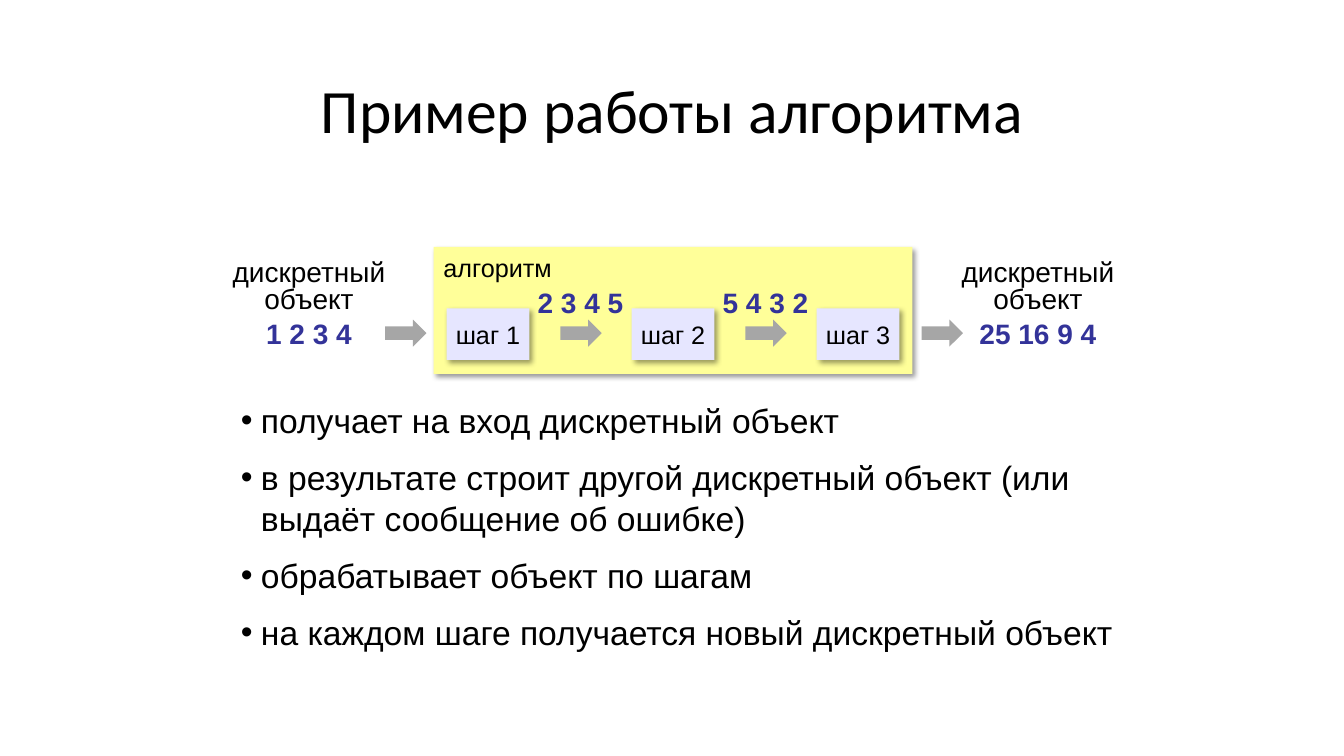
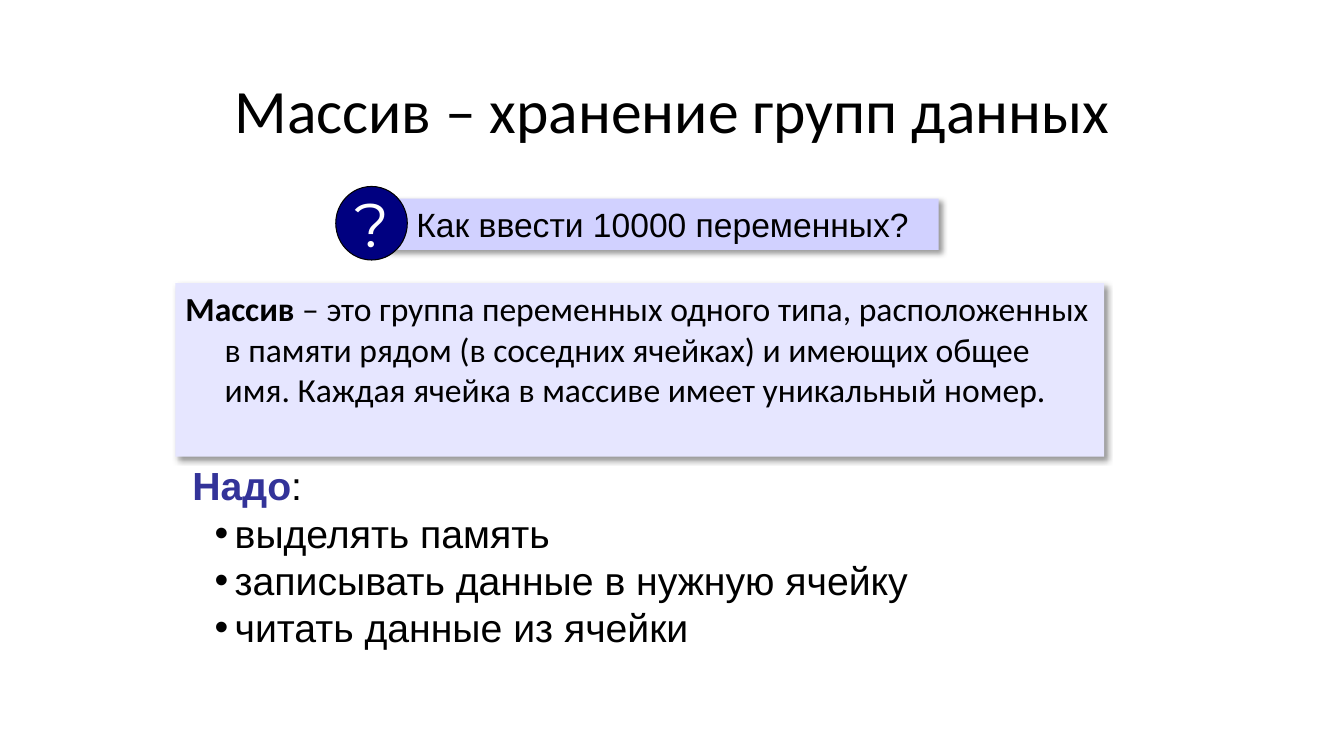
from dataclasses import dataclass

from lxml.etree import SubElement
from pptx import Presentation
from pptx.dml.color import RGBColor as Rgb
from pptx.enum.shapes import MSO_SHAPE as Form
from pptx.enum.text import MSO_ANCHOR as Anchor, PP_ALIGN as Align
from pptx.oxml.ns import qn
from pptx.util import Inches, Pt


@dataclass(frozen=True)
class Theme:
    """Colours, fonts and type sizes shared by the slides."""
    ink: str = "000000"
    white: str = "FFFFFF"
    accent: str = "333399"
    arrow: str = "A6A6A6"
    yellow: str = "FFFF99"
    lilac: str = "E6E6FF"
    banner: str = "D1D1FF"
    navy: str = "000080"
    sans: str = "Arial"
    head: str = "Calibri"
    sign: str = "Montserrat"
    small: int = 18
    label: int = 20
    body: int = 24
    large: int = 28
    title: int = 44


T = Theme()


@dataclass
class Para:
    """A paragraph: runs of (text, colour, bold) and its layout."""
    runs: list
    align: Align = Align.LEFT
    line: float = 1.0
    before: int = 0
    after: int = 0
    hang: float = 0
    mark: str = ""


def plain(text, color=T.ink, bold=False, **opts):
    """Return a paragraph holding one run."""
    return Para([(text, color, bold)], **opts)


def write(shape, paras, size, font=T.sans, anchor=Anchor.TOP, side=0.1, wrap=True):
    """Write paragraphs into a shape, run by run."""
    frame = shape.text_frame
    frame.word_wrap = wrap
    frame.vertical_anchor = anchor
    frame.margin_left, frame.margin_right = Inches(side), Inches(0 if side == 0 else 0.1)
    frame.margin_top = frame.margin_bottom = Inches(0.05)
    for i, item in enumerate(paras):
        par = frame.add_paragraph() if i else frame.paragraphs[0]
        if item.hang:
            prop = par._p.get_or_add_pPr()
            prop.set("marL", str(Inches(item.hang)))
            prop.set("indent", str(-Inches(item.hang)))
            if item.mark:
                SubElement(prop, qn("a:buFont"), typeface=T.sans)
                SubElement(prop, qn("a:buChar"), char=item.mark)
        par.alignment = item.align
        par.line_spacing = item.line
        par.space_before, par.space_after = Pt(item.before), Pt(item.after)
        for text, color, bold in item.runs:
            run = par.add_run()
            run.text = text
            run.font.name, run.font.size = font, Pt(size)
            run.font.bold = bold
            run.font.color.rgb = Rgb.from_string(color)


def place(box):
    """Turn a box in inches into lengths."""
    return [Inches(v) for v in box]


def label(shapes, box, paras, size, **opts):
    """Add a text box."""
    write(shapes.add_textbox(*place(box)), paras, size, **opts)


def block(shapes, form, box, fill, shade=False, line=None):
    """Add a filled shape, with a soft shadow if asked."""
    shape = shapes.add_shape(form, *place(box))
    shape.fill.solid()
    shape.fill.fore_color.rgb = Rgb.from_string(fill)
    if line:
        shape.line.color.rgb = Rgb.from_string(line)
        shape.line.width = Pt(0.75)
    else:
        shape.line.fill.background()
    shape.shadow.inherit = False
    if shade:
        effects = shape._element.spPr.find(qn("a:effectLst"))
        cast = SubElement(effects, qn("a:outerShdw"), blurRad=str(Pt(4)),
                          dist=str(Pt(3)), dir="2700000", algn="tl", rotWithShape="0")
        tint = SubElement(cast, qn("a:srgbClr"), val=T.ink)
        SubElement(tint, qn("a:alpha"), val="40000")
    return shape


def arrow(shapes, x, y):
    """Add a grey block arrow."""
    block(shapes, Form.RIGHT_ARROW, (x, y, 0.41, 0.27), T.arrow)


def start(deck, text):
    """Add a titled slide and return its shapes."""
    shapes = deck.slides.add_slide(deck.slide_layouts[5]).shapes
    title = shapes.title
    title.left, title.top, title.width, title.height = place((0.92, 0.4, 11.5, 1.45))
    write(title, [plain(text, align=Align.CENTER, line=0.9)], T.title,
          font=T.head, anchor=Anchor.MIDDLE)
    return shapes


def bullets(shapes, box, items, size, **opts):
    """Add a bulleted list."""
    label(shapes, box, [plain(t, hang=0.2, mark="•", **opts) for t in items], size)


def datum(shapes, box, value):
    """Add the caption of a discrete object with its value."""
    look = dict(align=Align.CENTER, line=0.8)
    label(shapes, box, [plain("дискретный", **look), plain("объект", **look),
                        plain(value, T.accent, True, before=6, **look)], T.label)


def steps(shapes, box, names, values):
    """Add the algorithm panel: steps with arrows and values between."""
    x, y, w, h = box
    panel = block(shapes, Form.RECTANGLE, box, T.yellow, True)
    write(panel, [plain("алгоритм")], T.small)
    pad, wide = 0.13, 0.82
    gap = (w - 2 * pad - len(names) * wide) / (len(names) - 1)
    for i, name in enumerate(names):
        left = x + pad + i * (wide + gap)
        step = block(shapes, Form.RECTANGLE, (left, y + 0.61, wide, 0.51), T.lilac, True)
        write(step, [plain(name, align=Align.CENTER)], T.small,
              anchor=Anchor.MIDDLE, side=0)
        if i < len(values):
            mid = left + wide + gap / 2
            arrow(shapes, mid - 0.2, y + 0.72)
            label(shapes, (mid - 0.53, y + 0.4, 1.06, 0.37),
                  [plain(values[i], T.accent, True, align=Align.CENTER, line=0.8)],
                  T.label, wrap=False)


def flow(shapes, box):
    """Add the path from input through the algorithm to output."""
    x, y, w, h = box
    datum(shapes, (x, y + 0.09, 2.03, 0.99), "1 2 3 4")
    arrow(shapes, x + 1.77, y + 0.72)
    steps(shapes, (x + 2.25, y, 4.75, h), ["шаг 1", "шаг 2", "шаг 3"],
          ["2 3 4 5", "5 4 3 2"])
    arrow(shapes, x + 7.09, y + 0.72)
    datum(shapes, (x + w - 2.03, y + 0.09, 2.03, 0.99), "25 16 9 4")


def query(shapes, box, text):
    """Add a question banner with a round sign."""
    x, y, w, h = box
    group = shapes.add_group_shape().shapes
    strip = block(group, Form.RECTANGLE, (x + 0.51, y + 0.12, w - 0.51, 0.51),
                  T.banner, True)
    write(strip, [plain(text)], T.body, anchor=Anchor.MIDDLE, side=0.29)
    disc = block(group, Form.OVAL, (x, y, 0.71, h), T.navy, line=T.ink)
    write(disc, [plain("?", T.white, align=Align.CENTER)], T.title,
          font=T.sign, anchor=Anchor.MIDDLE, wrap=False)


def sample(deck):
    """Build the slide on how an algorithm works."""
    shapes = start(deck, "Пример работы алгоритма")
    flow(shapes, (2.05, 2.45, 9.26, 1.26))
    bullets(shapes, (2.29, 3.92, 9.11, 2.62), [
        "получает на вход дискретный объект",
        "в результате строит другой дискретный объект (или выдаёт сообщение об ошибке)",
        "обрабатывает объект по шагам",
        "на каждом шаге получается новый дискретный объект"], T.body, after=12)


def array(deck):
    """Build the slide on arrays."""
    shapes = start(deck, "Массив – хранение групп данных")
    note = block(shapes, Form.RECTANGLE, (1.74, 2.81, 9.21, 1.72), T.lilac, True)
    write(note, [Para([
        ("Массив", T.ink, True),
        (" – это группа переменных одного типа, расположенных в памяти рядом "
         "(в соседних ячейках) и имеющих общее имя. Каждая ячейка в массиве "
         "имеет уникальный номер.", T.ink, False)], hang=0.39)], T.body, font=T.head)
    label(shapes, (1.81, 4.53, 7.53, 0.57),
          [Para([("Надо", T.accent, True), (":", T.ink, False)], align=Align.JUSTIFY)],
          T.large, anchor=Anchor.MIDDLE)
    query(shapes, (3.33, 1.85, 5.98, 0.73), "Как ввести 10000 переменных?")
    bullets(shapes, (2.03, 5, 7.87, 1.52), [
        "выделять память", "записывать данные в нужную ячейку",
        "читать данные из ячейки"], T.large, align=Align.JUSTIFY)


def main():
    """Build and save the deck."""
    deck = Presentation()
    deck.slide_width, deck.slide_height = Inches(13.33), Inches(7.5)
    sample(deck)
    array(deck)
    deck.save("out.pptx")


if __name__ == "__main__":
    main()
